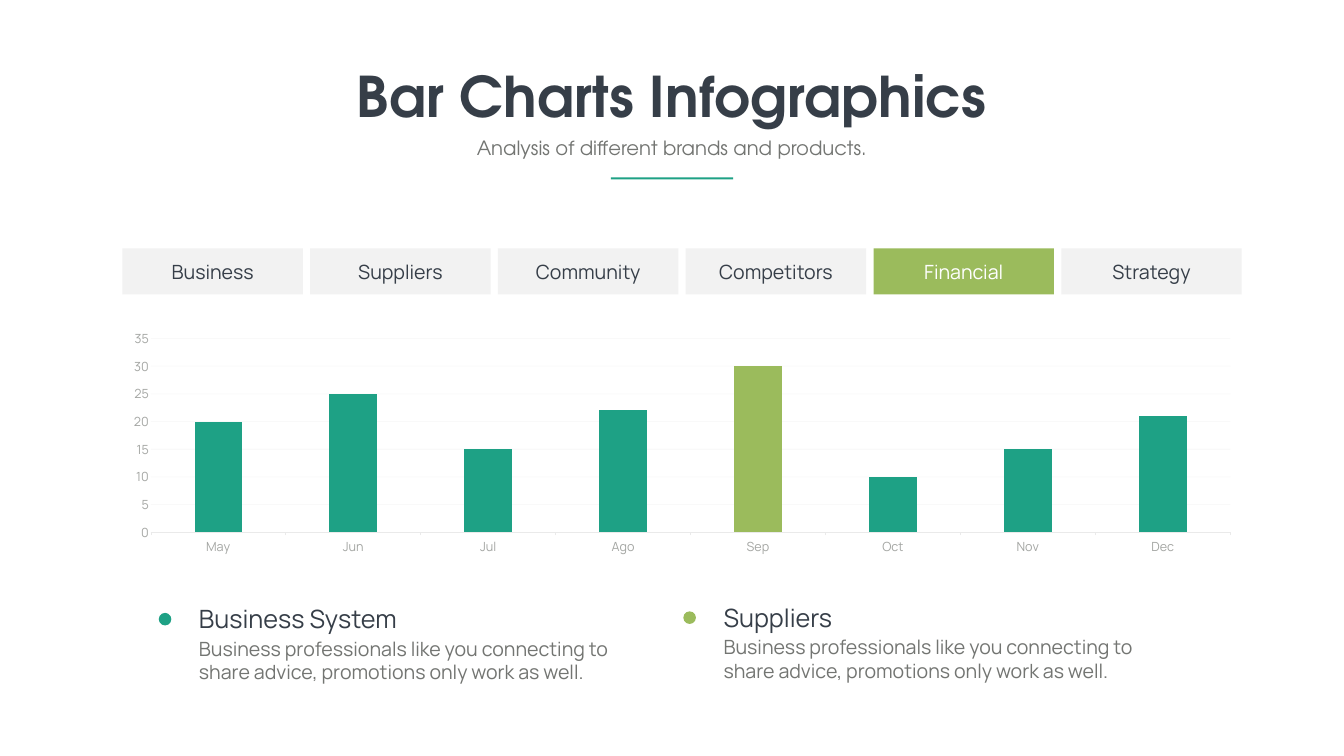
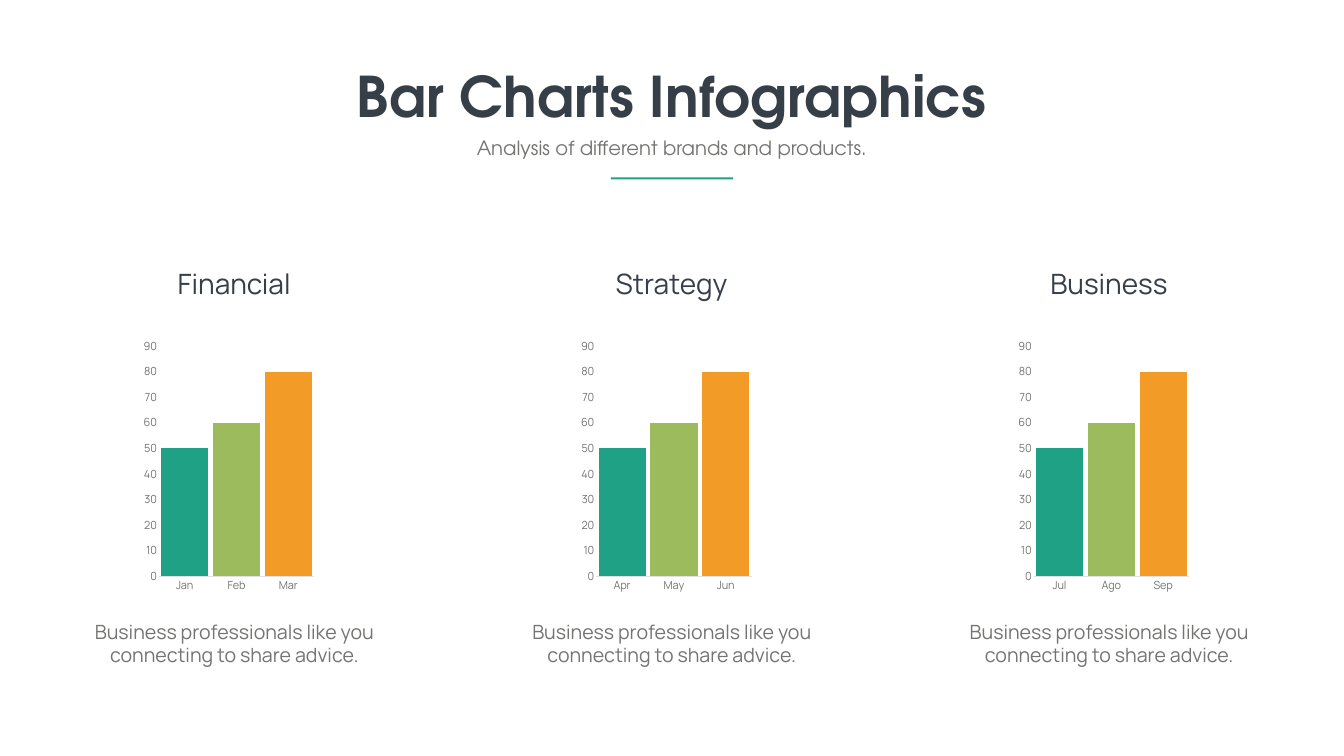
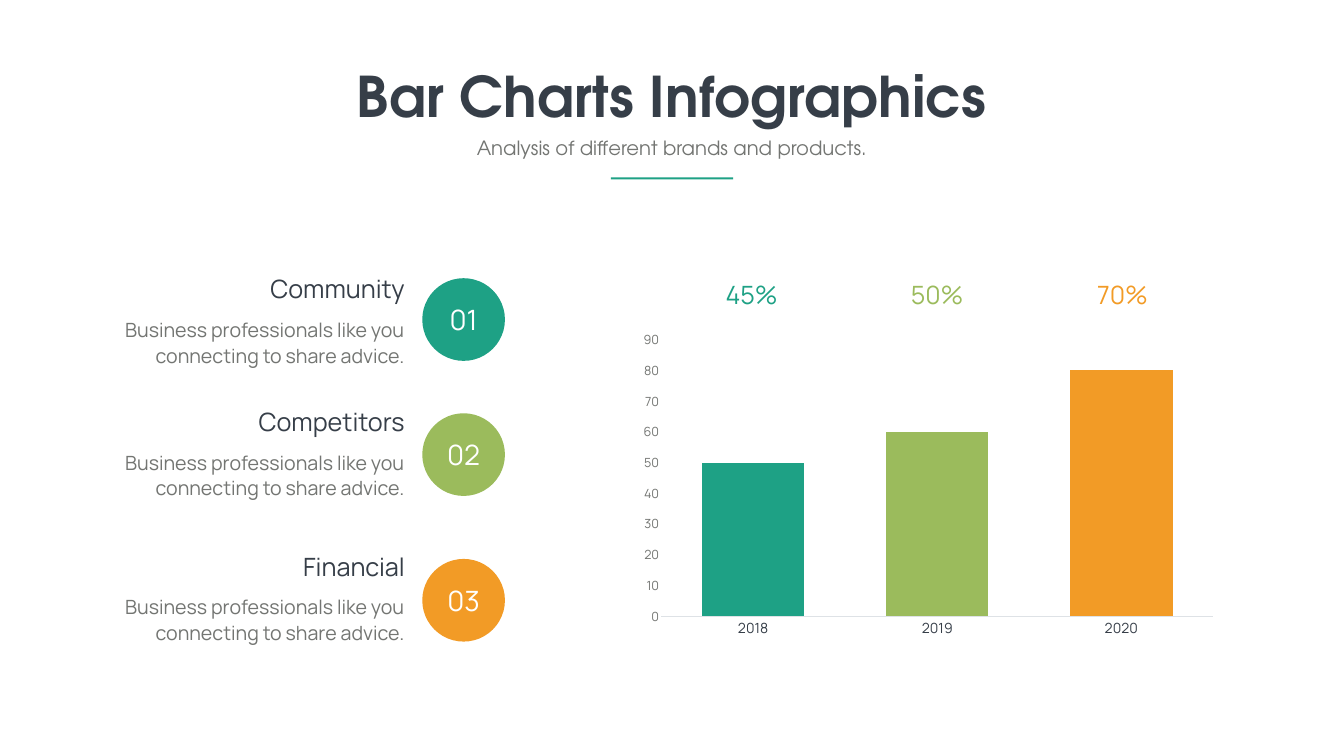
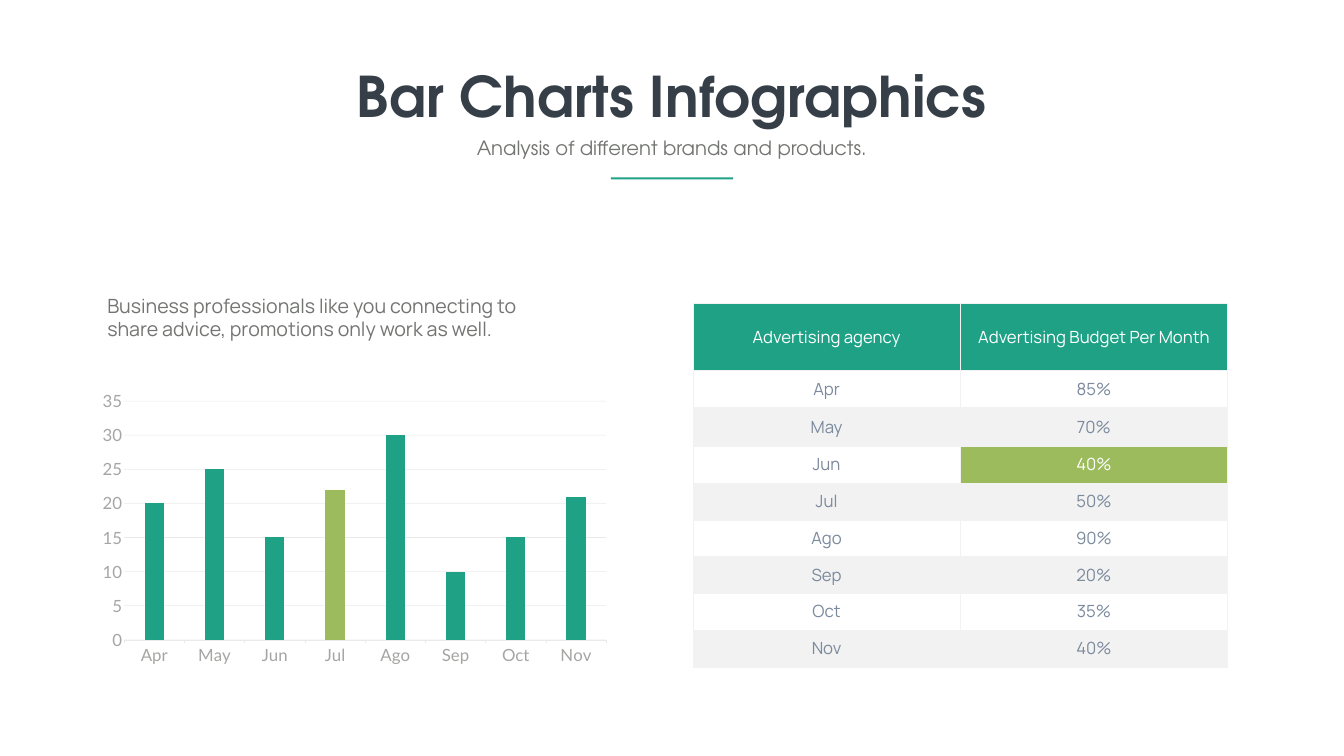
import pptx
import pptx.chart.data
import pptx.dml.color
import pptx.enum.chart
import pptx.enum.shapes
import pptx.enum.text
import pptx.oxml
import pptx.oxml.ns
import pptx.util

Inches = pptx.util.Inches
Pt = pptx.util.Pt
RGBColor = pptx.dml.color.RGBColor
Align = pptx.enum.text.PP_ALIGN
Anchor = pptx.enum.text.MSO_ANCHOR
Shape = pptx.enum.shapes.MSO_SHAPE
ChartType = pptx.enum.chart.XL_CHART_TYPE
Tick = pptx.enum.chart.XL_TICK_MARK

TEAL = RGBColor(0x1E, 0xA1, 0x85)
GREEN = RGBColor(0x9B, 0xBB, 0x5C)
ORANGE = RGBColor(0xF2, 0x9B, 0x26)
INK = RGBColor(0x36, 0x3E, 0x48)
GRAY = RGBColor(0x73, 0x75, 0x72)
LABEL_GRAY = RGBColor(0xA4, 0xA6, 0xA3)
AXIS_GRAY = RGBColor(0xEA, 0xEA, 0xEA)
BASELINE = RGBColor(0xDE, 0xE2, 0xE6)
PALE = RGBColor(0xF2, 0xF2, 0xF2)
SLATE = RGBColor(0x7B, 0x8A, 0x9C)
WHITE = RGBColor(0xFF, 0xFF, 0xFF)

HEADING_FONT = "TeX Gyre Adventor"
BODY_FONT = "Manrope"
TRIO = [TEAL, GREEN, ORANGE]
SHORT_ADVICE = "Business professionals like you connecting to share advice."
LONG_ADVICE = ("Business professionals like you connecting to share advice, "
               "promotions only work as well.")
EIGHT_MONTHS = [20, 25, 15, 22, 30, 10, 15, 21]
THREE_PERIODS = [50, 60, 80]
MONTH_PLOT = (0.043, 0.085, 0.947, 0.807)


class Deck:
    def __init__(self):
        self.presentation = pptx.Presentation()
        self.presentation.slide_width = Inches(26.67)
        self.presentation.slide_height = Inches(15)
        self.slide = None

    def start_slide(self):
        self.slide = self.presentation.slides.add_slide(self.presentation.slide_layouts[5])
        title = self.slide.shapes.title
        title.left, title.top, title.width, title.height = map(Inches, (6.92, 1.17, 12.82, 1.45))
        self.set_words(title.text_frame, "Bar Charts Infographics", 80, INK, Align.CENTER,
                       HEADING_FONT, bold=True)
        title.text_frame.vertical_anchor = Anchor.TOP
        title.text_frame.word_wrap = False
        title.text_frame.auto_size = pptx.enum.text.MSO_AUTO_SIZE.SHAPE_TO_FIT_TEXT
        self.text((8.55, 2.65, 9.56, 0.57), "Analysis of different brands and products.",
                  28, GRAY, Align.CENTER, HEADING_FONT)
        self.shape(Shape.RECTANGLE, (12.12, 3.52, 2.43, 0.04), TEAL)

    def set_words(self, frame, words, size, color, align, font=BODY_FONT, bold=False,
                  spacing=None):
        frame.text = words
        paragraph = frame.paragraphs[0]
        paragraph.alignment = align
        if spacing:
            paragraph.line_spacing = Pt(spacing)
        self.style(paragraph.font, size, color, font)
        paragraph.font.bold = bold

    def style(self, font, size, color, name=BODY_FONT):
        font.name = name
        font.size = Pt(size)
        font.color.rgb = color

    def text(self, at, words, size, color, align=Align.LEFT, font=BODY_FONT, spacing=None):
        frame = self.slide.shapes.add_textbox(*map(Inches, at)).text_frame
        frame.word_wrap = True
        frame.auto_size = pptx.enum.text.MSO_AUTO_SIZE.SHAPE_TO_FIT_TEXT
        self.set_words(frame, words, size, color, align, font, spacing=spacing)

    def shape(self, kind, at, fill, words=None, size=28, color=WHITE):
        shape = self.slide.shapes.add_shape(kind, *map(Inches, at))
        shape.shadow.inherit = False
        shape.fill.solid()
        shape.fill.fore_color.rgb = fill
        shape.line.fill.background()
        if words:
            self.set_words(shape.text_frame, words, size, color, Align.CENTER)
            shape.text_frame.vertical_anchor = Anchor.MIDDLE

    def chart(self, at, kind, months, values, colors, top, step, gap, overlap, layout,
              size, label_color=GRAY, category_size=None, category_color=None,
              line_color=BASELINE, font=BODY_FONT, grid_alpha=None):
        data = pptx.chart.data.CategoryChartData()
        data.categories = months
        data.add_series("Series 1", values)
        chart = self.slide.shapes.add_chart(kind, *map(Inches, at), data).chart
        chart.has_legend = False
        chart.has_title = False
        self.style(chart.font, size, GRAY, font)

        plot = chart.plots[0]
        plot.vary_by_categories = False
        plot.gap_width = gap
        plot.overlap = overlap
        series = plot.series[0]
        series.format.fill.solid()
        series.format.fill.fore_color.rgb = colors[0]
        for index, color in enumerate(colors):
            if color != colors[0]:
                point_fill = series.points[index].format.fill
                point_fill.solid()
                point_fill.fore_color.rgb = color

        months_axis, values_axis = chart.category_axis, chart.value_axis
        months_axis.major_tick_mark = Tick.OUTSIDE if grid_alpha else Tick.NONE
        months_axis.format.line.color.rgb = line_color
        months_axis.format.line.width = Pt(0.75)
        self.style(months_axis.tick_labels.font, category_size or size,
                   category_color or label_color, font)
        values_axis.major_tick_mark = Tick.NONE
        values_axis.format.line.fill.background()
        values_axis.minimum_scale = 0
        values_axis.maximum_scale = top
        values_axis.major_unit = step
        self.style(values_axis.tick_labels.font, size, label_color, font)
        values_axis.has_major_gridlines = grid_alpha is not None
        if grid_alpha:
            grid = values_axis.major_gridlines.format.line
            grid.color.rgb = GRAY
            grid.width = Pt(0.75)
            grid_color = chart.element.xpath(".//c:majorGridlines//a:srgbClr")[0]
            alpha = pptx.oxml.ns.qn("a:alpha")
            grid_color.append(grid_color.makeelement(alpha, {"val": str(grid_alpha * 1000)}))
        self.place_plot(chart, layout)

    def place_plot(self, chart, layout):
        plot_area = chart.element.xpath(".//c:plotArea")[0]
        for automatic in plot_area.xpath("./c:layout"):
            plot_area.remove(automatic)
        edges = "".join(f'<c:{key} val="{value}"/>' for key, value in zip("xywh", layout))
        plot_area.insert(0, pptx.oxml.parse_xml(
            f'<c:layout {pptx.oxml.ns.nsdecls("c")}><c:manualLayout>'
            '<c:layoutTarget val="inner"/><c:xMode val="edge"/><c:yMode val="edge"/>'
            f'{edges}</c:manualLayout></c:layout>'))

    def month_chart(self, at, months, highlight, **options):
        colors = [GREEN if index == highlight else TEAL for index in range(len(months))]
        self.chart(at, ChartType.COLUMN_CLUSTERED, months, EIGHT_MONTHS, colors, 35, 5,
                   layout=MONTH_PLOT, label_color=LABEL_GRAY, line_color=AXIS_GRAY, **options)

    def trio_chart(self, at, periods, **options):
        self.chart(at, ChartType.COLUMN_STACKED, periods, THREE_PERIODS, TRIO, 90, 10,
                   overlap=100, **options)

    def table(self, at, heights, rows, highlight):
        table = self.slide.shapes.add_table(len(rows), len(rows[0]), *map(Inches, at)).table
        table.horz_banding = False
        for row_index, (height, row) in enumerate(zip(heights, rows)):
            table.rows[row_index].height = Inches(height)
            for column_index, words in enumerate(row):
                fill, color = (PALE if row_index % 2 == 0 else WHITE), SLATE
                if row_index == 0:
                    fill, color = TEAL, WHITE
                elif (row_index, column_index) == highlight:
                    fill, color = GREEN, WHITE
                self.cell(table.cell(row_index, column_index), words, fill, color)

    def cell(self, cell, words, fill, color):
        self.set_words(cell.text_frame, words, 24, color, Align.CENTER)
        cell.vertical_anchor = Anchor.MIDDLE
        properties = cell._tc.get_or_add_tcPr()
        for side in "LRTB":
            properties.append(pptx.oxml.parse_xml(
                f'<a:ln{side} {pptx.oxml.ns.nsdecls("a")} w="{Pt(0.25)}"><a:solidFill>'
                f'<a:srgbClr val="{PALE}"/></a:solidFill></a:ln{side}>'))
        cell.fill.solid()
        cell.fill.fore_color.rgb = fill


def build_categories(deck):
    deck.start_slide()
    deck.month_chart((2.02, 6.31, 22.62, 4.77),
                     ["May", "Jun", "Jul", "Ago", "Sep", "Oct", "Nov", "Dec"], 4,
                     gap=184, overlap=-100, size=18, grid_alpha=5)
    tabs = ["Business", "Suppliers", "Community", "Competitors", "Financial", "Strategy"]
    tab_step = (21.06 - 2.43) / (len(tabs) - 1)
    for index, tab in enumerate(tabs):
        active = tab == "Financial"
        deck.shape(Shape.RECTANGLE, (2.43 + index * tab_step, 4.93, 3.58, 0.91),
                   GREEN if active else PALE, tab, color=WHITE if active else INK)
    for left, top, color, heading in [(3.15, 11.93, TEAL, "Business System"),
                                      (13.56, 11.9, GREEN, "Suppliers")]:
        deck.shape(Shape.OVAL, (left, top + 0.23, 0.25, 0.25), color)
        deck.text((left + 0.7, top + 0.65, 9.25, 1.04), LONG_ADVICE, 28, GRAY)
        deck.text((left + 0.7, top, 4.89, 0.71), heading, 36, INK)


def build_quarters(deck):
    deck.start_slide()
    quarters = [("Financial", ["Jan", "Feb", "Mar"]),
                ("Strategy", ["Apr", "May", "Jun"]),
                ("Business", ["Jul", "Ago", "Sep"])]
    for index, (heading, months) in enumerate(quarters):
        left = 1.46 + index * 8.68
        deck.trio_chart((left + 1.39, 6.69, 3.59, 5.16), months, gap=10,
                        layout=(0.058, 0.034, 0.884, 0.886), size=16)
        deck.text((left + 0.69, 5.24, 4.99, 0.77), heading, 40, INK, Align.CENTER)
        deck.text((left, 12.25, 6.38, 1.04), SHORT_ADVICE, 28, GRAY, Align.CENTER)


def build_years(deck):
    deck.start_slide()
    deck.trio_chart((12.4, 6.38, 12.4, 6.82), ["2018", "2019", "2020"], gap=80,
                    layout=(0.058, 0.053, 0.884, 0.804), size=18,
                    category_size=20, category_color=INK)
    topics = [("Community", "45%", 5.38, 5.52),
              ("Competitors", "50%", 8.01, 8.2),
              ("Financial", "70%", 10.88, 11.09)]
    for index, (topic, share, top, badge_top) in enumerate(topics):
        color = TRIO[index]
        deck.text((14.02 + index * 3.68, 5.5, 1.79, 0.71), share, 36, color, Align.CENTER)
        deck.text((1.96, top + 0.84, 6.16, 1.13), SHORT_ADVICE, 28, GRAY, Align.RIGHT,
                  spacing=36.6)
        deck.text((3.24, top, 4.89, 0.71), topic, 36, INK, Align.RIGHT)
        deck.shape(Shape.OVAL, (8.38, badge_top, 1.64, 1.64), color, f"{index + 1:02}", 40)


def build_budget(deck):
    deck.start_slide()
    months = ["Apr", "May", "Jun", "Jul", "Ago", "Sep", "Oct", "Nov"]
    budgets = ["85%", "70%", "40%", "50%", "90%", "20%", "35%", "40%"]
    deck.month_chart((2.03, 7.46, 10.1, 5.87), months, 3,
                     gap=215, overlap=-3, size=24, font="Lato", grid_alpha=15)
    deck.table((13.75, 6.01, 10.61, 7.19), [1.34, 0.73, 0.77] + [0.73] * 6,
               [("Advertising agency", "Advertising Budget Per Month"), *zip(months, budgets)],
               highlight=(3, 1))
    deck.text((2.03, 5.78, 8.89, 1.04), LONG_ADVICE, 28, GRAY)


def main():
    deck = Deck()
    build_categories(deck)
    build_quarters(deck)
    build_years(deck)
    build_budget(deck)
    deck.presentation.save("out.pptx")


if __name__ == "__main__":
    main()
